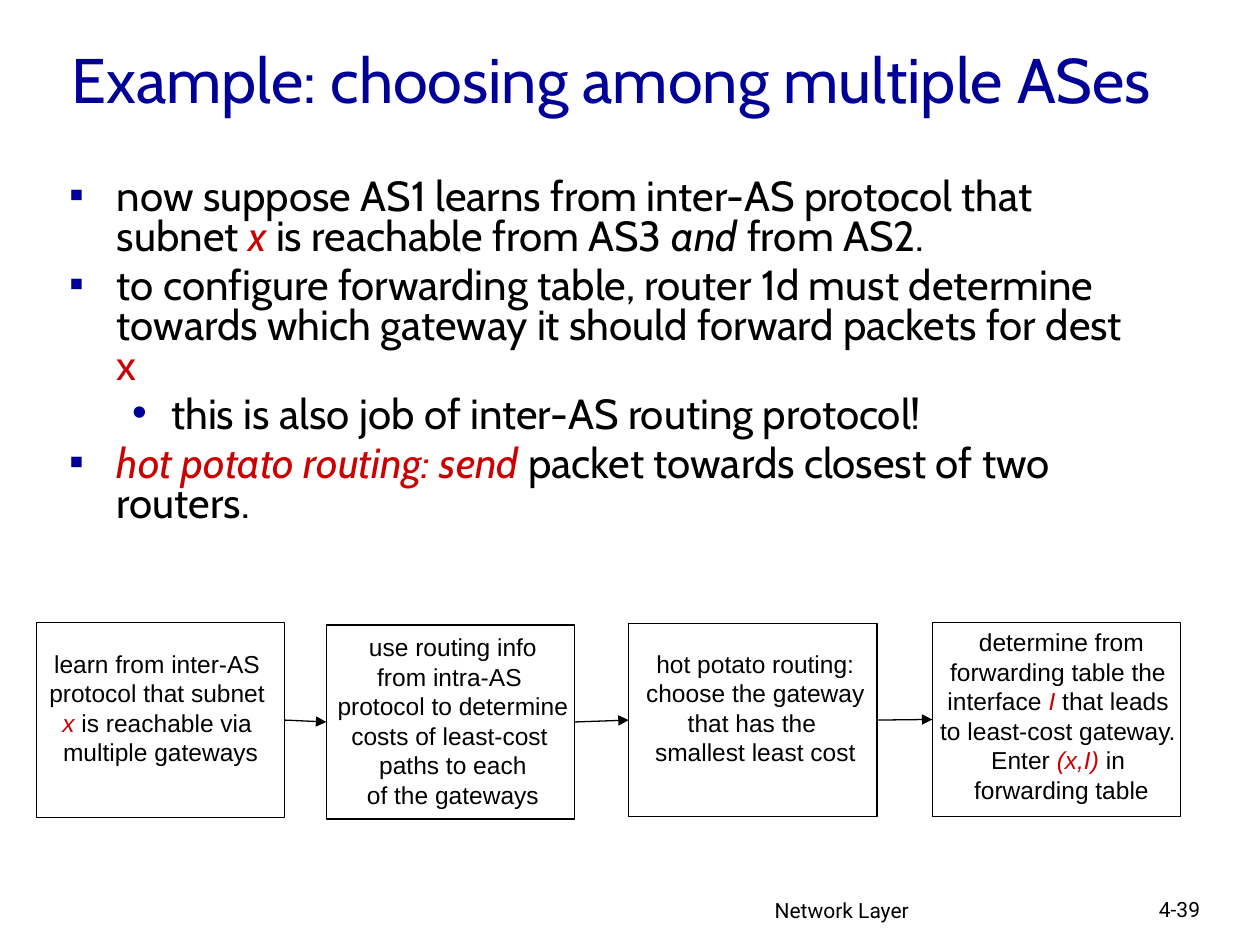
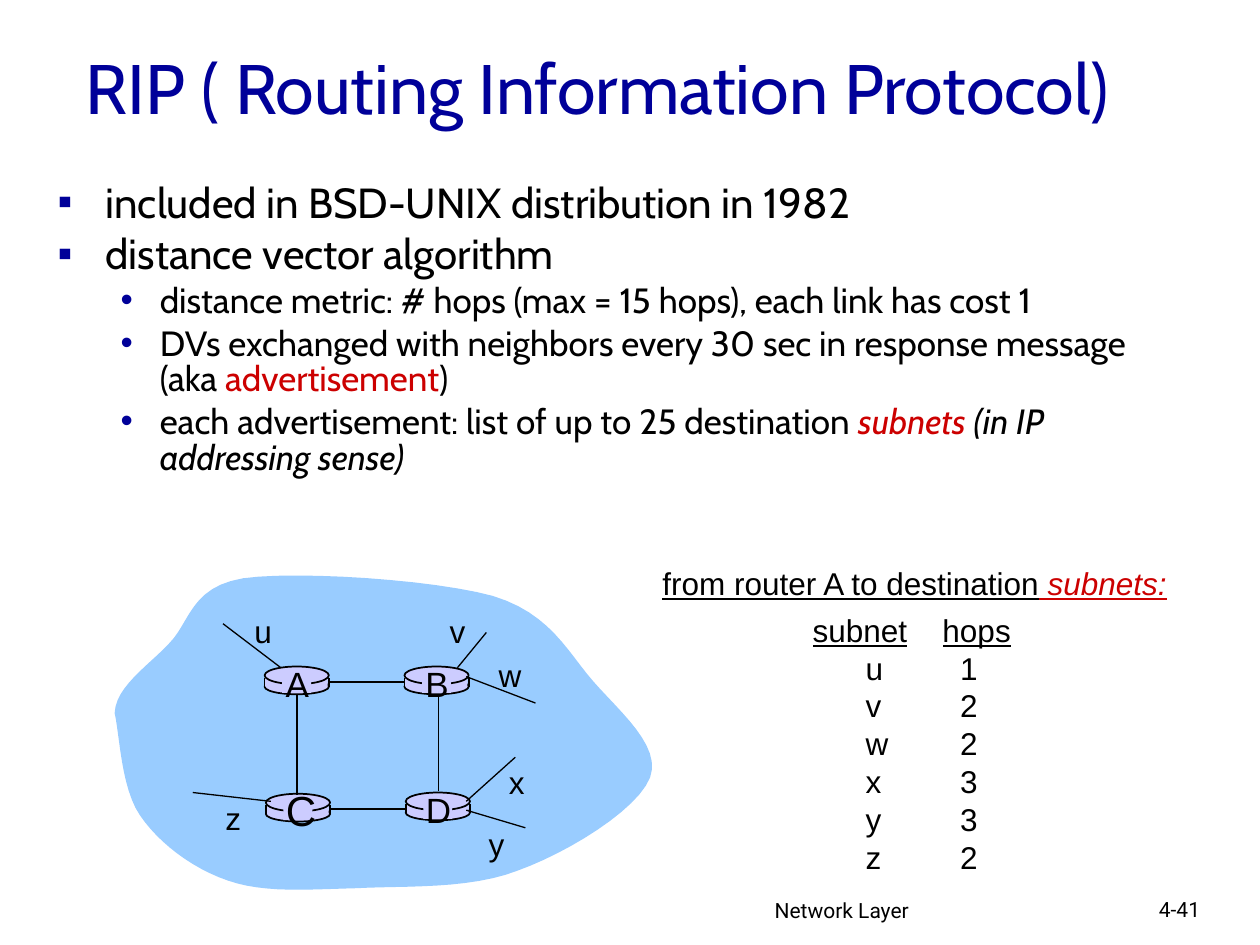
from lxml.etree import SubElement
from pptx import Presentation
from pptx.dml.color import RGBColor
from pptx.enum.shapes import MSO_CONNECTOR, MSO_SHAPE
from pptx.enum.text import MSO_ANCHOR, PP_ALIGN
from pptx.oxml.ns import qn
from pptx.util import Emu, Pt

EMU_PER_PX = 9144
BLACK = RGBColor(0x00, 0x00, 0x00)
NAVY = RGBColor(0x00, 0x00, 0x99)
RED = RGBColor(0xCC, 0x00, 0x00)
SKY = RGBColor(0x99, 0xCC, 0xFF)
LILAC = RGBColor(0xCC, 0xCC, 0xFF)
HEADING_FONT, LABEL_FONT, FOOTER_FONT = "Cabin", "Arial", "Roboto"

BULLETS = [("▪", 38, -38), ("•", 81, -31)]

AS_POINTS = [
    (0, ["now suppose AS1 learns from inter-AS protocol that subnet ", ("x ", RED, True),
         "is reachable from AS3 ", ("and", BLACK, True), " from AS2."]),
    (0, ["to configure forwarding table, router 1d must determine towards which gateway "
         "it should forward packets for dest ", ("x", RED, False)]),
    (1, ["this is also job of inter-AS routing protocol!"]),
    (0, [("hot potato routing: send", RED, True), " packet towards closest of two routers."]),
]
RIP_POINTS = [
    (0, ["included in BSD-UNIX distribution in 1982"]),
    (0, ["distance vector algorithm"]),
    (1, ["distance metric: # hops (max = 15 hops), each link has cost 1"]),
    (1, ["DVs exchanged with neighbors every 30 sec in response message (aka ",
         ("advertisement", RED, False), ")"]),
    (1, ["each advertisement: list of up to 25 destination ", ("subnets ", RED, True),
         ("(in IP addressing sense)", BLACK, True)]),
]
STEPS = [
    ((29, 494, 197, 155), 21, 0,
     [["learn from inter-AS "], ["protocol that subnet "],
      [("x ", RED, True), "is reachable via "], ["multiple gateways"]]),
    ((259, 496, 197, 154), 6, 4,
     [["use routing info"], ["from intra-AS "], ["protocol to determine"],
      ["costs of least-cost "], ["paths to each"], ["of the gateways"]]),
    ((499, 495, 197, 153), 20, 4,
     [["hot potato routing:"], ["choose the gateway"], ["that has the "],
      ["smallest least cost"]]),
    ((740, 494, 197, 154), 4, 8,
     [["determine from"], ["forwarding table the "],
      ["interface", (" I ", RED, True), "that leads "], ["to least-cost gateway. "],
      ["Enter ", ("(x,I) ", RED, True), "in "], ["forwarding table"]]),
]
CLOUD_START = (91, 566)
CLOUD_CURVES = [
    ((92, 545), (117, 529), (134, 511)), ((151, 494), (151, 466), (193, 459)),
    ((236, 453), (344, 460), (391, 473)), ((437, 487), (450, 517), (471, 541)),
    ((492, 565), (525, 592), (516, 617)), ((506, 643), (450, 677), (411, 691)),
    ((373, 706), (321, 703), (283, 705)), ((244, 706), (210, 709), (181, 699)),
    ((152, 689), (126, 669), (111, 647)), ((96, 625), (95, 583), (91, 566)),
]
ROUTERS = [("C", 211, 630, 24), ("A", 210, 529, 20), ("B", 321, 529, 20), ("D", 322, 629, 20)]
ROUTER_LINKS = [(348, 552, 348, 628), (236, 552, 236, 631),
                (322, 642, 263, 642), (321, 541, 262, 541)]
SUBNET_LINKS = [(370, 537, 425, 558), (363, 530, 386, 502), (370, 636, 409, 601),
                (370, 643, 417, 657), (223, 530, 177, 495), (215, 636, 153, 629)]
SUBNET_LABELS = [("u", 192, 481), ("v", 347, 481), ("w", 386, 516),
                 ("x", 394, 601), ("y", 378, 650), ("z", 169, 629)]
HOPS = [("subnet", "hops"), ("u", "1"), ("v", "2"), ("w", "2"),
        ("x", "3"), ("y", "3"), ("z", "2")]


def px(length):
    """Turn px into EMU."""
    return Emu(round(length * EMU_PER_PX))


def style(font, name, size, color=BLACK, italic=False):
    """Set the look of a font."""
    font.name, font.size, font.italic = name, Pt(size), italic
    font.color.rgb = color


def write(paragraph, pieces, name, size):
    """Fill a paragraph with plain strings and (text, colour, italic) pieces."""
    for piece in pieces:
        text, color, italic = (piece, BLACK, False) if isinstance(piece, str) else piece
        run = paragraph.add_run()
        run.text = text
        style(run.font, name, size, color, italic)


def add_text(slide, box, text, name, size, color=BLACK, align=PP_ALIGN.LEFT, wrap=True):
    """Add a text box with one line of text and return its frame."""
    frame = slide.shapes.add_textbox(*map(px, box)).text_frame
    frame.text = text
    frame.word_wrap = wrap
    frame.paragraphs[0].alignment = align
    style(frame.paragraphs[0].runs[0].font, name, size, color)
    return frame


def add_shape(slide, kind, box, fill=None, line=None):
    """Add a preset shape with an optional fill and black outline."""
    shape = slide.shapes.add_shape(kind, *map(px, box))
    shape.shadow.inherit = False
    if fill is None:
        shape.fill.background()
    else:
        shape.fill.solid()
        shape.fill.fore_color.rgb = fill
    if line is None:
        shape.line.fill.background()
    else:
        shape.line.color.rgb = BLACK
        shape.line.width = Pt(line)
    return shape


def add_line(slide, ends, width):
    """Add a straight black line without shadow."""
    line = slide.shapes.add_connector(MSO_CONNECTOR.STRAIGHT, *map(px, ends))
    line.line.color.rgb = BLACK
    line.line.width = Pt(width)
    SubElement(line._element.spPr, qn("a:effectLst"))
    return line


def add_arrow(slide, source, target):
    """Join the right side of one box to the left side of the next."""
    arrow = add_line(slide, (0, 0, 0, 0), 0.75)
    arrow.begin_connect(source, 3)
    arrow.end_connect(target, 1)
    SubElement(arrow.line._get_or_add_ln(), qn("a:tailEnd"), type="triangle")


def add_slide(deck, title, title_box, title_size, number):
    """Add a blank slide with its title and footer."""
    slide = deck.slides.add_slide(deck.slide_layouts[6])
    add_text(slide, (605, 707, 317, 31), "Network Layer", FOOTER_FONT, 12)
    add_text(slide, (910, 707, 74, 30), number, FOOTER_FONT, 12)
    heading = add_text(slide, title_box, title, HEADING_FONT, title_size, NAVY)
    heading.vertical_anchor = MSO_ANCHOR.MIDDLE
    return slide


def add_bullets(slide, box, points, sizes, spacing):
    """Add a two-level bullet list."""
    frame = slide.shapes.add_textbox(*map(px, box)).text_frame
    frame.word_wrap = True
    for index, (level, pieces) in enumerate(points):
        paragraph = frame.add_paragraph() if index else frame.paragraphs[0]
        mark, margin, indent = BULLETS[level]
        props = paragraph._p.get_or_add_pPr()
        props.set("marL", str(px(margin)))
        props.set("indent", str(px(indent)))
        SubElement(SubElement(props, qn("a:buClr")), qn("a:srgbClr"), val=str(NAVY))
        SubElement(props, qn("a:buFont"), typeface=LABEL_FONT)
        SubElement(props, qn("a:buChar"), char=mark)
        paragraph.level = level
        paragraph.line_spacing = spacing
        if index:
            paragraph.space_before = Pt(sizes[level] * 0.2)
        write(paragraph, pieces, HEADING_FONT, sizes[level])


def add_step(slide, box, top_margin, left_margin, lines):
    """Add one outlined box of the process with its centred lines."""
    step = add_shape(slide, MSO_SHAPE.RECTANGLE, box, line=0.75)
    frame = step.text_frame
    frame.word_wrap = False
    frame.vertical_anchor = MSO_ANCHOR.TOP
    frame.margin_top, frame.margin_left = px(top_margin), px(left_margin)
    frame.margin_right = frame.margin_bottom = 0
    for index, pieces in enumerate(lines):
        paragraph = frame.add_paragraph() if index else frame.paragraphs[0]
        paragraph.alignment = PP_ALIGN.CENTER
        write(paragraph, pieces, LABEL_FONT, 14)
    return step


def curve_points(start, curves, steps=12):
    """Return points along a chain of cubic curves, in EMU."""
    points = []
    for first, second, end in curves:
        for t in (step / steps for step in range(1, steps + 1)):
            s = 1 - t
            points.append(tuple(
                px(s**3 * a + 3 * s * s * t * b + 3 * s * t * t * c + t**3 * d)
                for a, b, c, d in zip(start, first, second, end)))
        start = end
    return points


def add_cloud(slide):
    """Add the network cloud."""
    builder = slide.shapes.build_freeform(*map(px, CLOUD_START))
    builder.add_line_segments(curve_points(CLOUD_START, CLOUD_CURVES), close=True)
    cloud = builder.convert_to_shape()
    cloud.shadow.inherit = False
    cloud.fill.solid()
    cloud.fill.fore_color.rgb = SKY
    cloud.line.fill.background()


def add_router(slide, letter, left, top, size):
    """Add a router drum with its letter."""
    add_shape(slide, MSO_SHAPE.OVAL, (left, top + 10, 51, 12), LILAC, 1)
    add_shape(slide, MSO_SHAPE.RECTANGLE, (left, top + 9, 50, 7), LILAC)
    for side in (left, left + 51):
        add_line(slide, (side, top + 9, side, top + 16), 1)
    add_shape(slide, MSO_SHAPE.OVAL, (left, top, 51, 14), LILAC, 1)
    add_shape(slide, MSO_SHAPE.RECTANGLE, (left + 14, top + 2, 23, 19), LILAC)
    height = 50 if size > 20 else 43
    add_text(slide, (left + 6, top + 13 - height // 2, 40, height), letter,
             LABEL_FONT, size, align=PP_ALIGN.CENTER, wrap=False)


def add_hop_table(slide):
    """Add the table of hops per subnet."""
    table = slide.shapes.add_table(len(HOPS), 2, *map(px, (645, 487, 165, 210))).table
    table.first_row = table.horz_banding = False
    for column, width in zip(table.columns, (103, 62)):
        column.width = px(width)
    for row, texts in enumerate(HOPS):
        for column, text in enumerate(texts):
            cell = table.cell(row, column)
            cell.fill.background()
            cell.margin_top = cell.margin_bottom = cell.margin_right = 0
            cell.margin_left = px((42, 14)[column] if row else 0)
            cell.text = text
            font = cell.text_frame.paragraphs[0].runs[0].font
            style(font, LABEL_FONT, 18)
            font.underline = row == 0


def build_as_slide(deck):
    """Build the slide on choosing among ASes."""
    slide = add_slide(deck, "Example: choosing among multiple ASes",
                      (47, 0, 959, 125), 36, "4-39")
    add_bullets(slide, (45, 137, 874, 301), AS_POINTS, (24, 24), 0.8)
    steps = [add_step(slide, *step) for step in STEPS]
    for source, target in zip(steps, steps[1:]):
        add_arrow(slide, source, target)


def build_rip_slide(deck):
    """Build the slide on RIP."""
    slide = add_slide(deck, "RIP ( Routing Information Protocol)",
                      (58, 17, 894, 103), 40, "4-41")
    add_bullets(slide, (36, 141, 915, 185), RIP_POINTS, (24, 20), 0.85)
    add_cloud(slide)
    for router in ROUTERS:
        add_router(slide, *router)
    for links, width in ((ROUTER_LINKS, 1), (SUBNET_LINKS, 0.75)):
        for ends in links:
            add_line(slide, ends, width)
    for letter, left, top in SUBNET_LABELS:
        add_text(slide, (left, top, 33, 40), letter, LABEL_FONT, 18, wrap=False)
    caption = add_text(slide, (516, 443, 423, 40), "from router A to destination",
                       LABEL_FONT, 18, wrap=False).paragraphs[0]
    write(caption, [(" subnets:", RED, True)], LABEL_FONT, 18)
    for run in caption.runs:
        run.font.underline = True
    add_hop_table(slide)


def main():
    """Build and save the deck."""
    deck = Presentation()
    deck.slide_width, deck.slide_height = px(1000), px(750)
    build_as_slide(deck)
    build_rip_slide(deck)
    deck.save("out.pptx")


if __name__ == "__main__":
    main()
